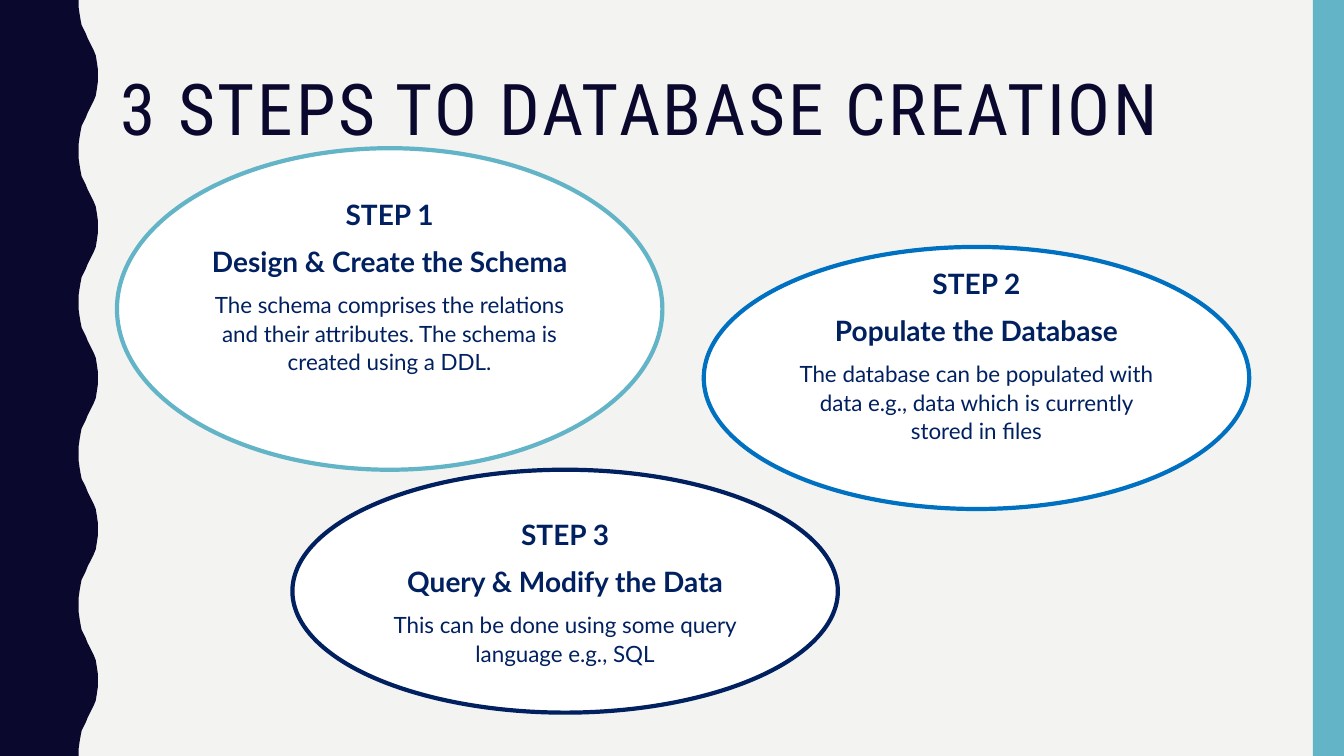
from pptx import Presentation
from pptx.dml.color import RGBColor
from pptx.enum.shapes import MSO_SHAPE
from pptx.enum.text import MSO_ANCHOR, PP_ALIGN
from pptx.util import Inches, Pt

ELLIPSE = MSO_SHAPE.OVAL
RECTANGLE = MSO_SHAPE.RECTANGLE
MIDDLE = MSO_ANCHOR.MIDDLE
CENTER = PP_ALIGN.CENTER
LEFT = PP_ALIGN.LEFT

COLORS = {
    "background": "F3F3F2",
    "ink": "0B082E",
    "teal": "62B4C6",
    "blue": "0070C0",
    "navy": "002060",
    "white": "FFFFFF",
}
SLIDE_WIDTH, SLIDE_HEIGHT = 13.33, 7.5
WAVE_PERIOD = 1.5
WAVE_RISE = [
    (0.78, 0), (0.78, 0.07), (0.79, 0.14), (0.8, 0.2), (0.81, 0.25),
    (0.83, 0.29), (0.85, 0.33), (0.87, 0.38), (0.89, 0.42), (0.91, 0.46),
    (0.93, 0.5), (0.95, 0.55), (0.96, 0.61), (0.97, 0.68),
]
TITLE_FONT = {"name": "Roboto Condensed", "size": Pt(51), "bold": False}
HEADING_FONT = {"name": "Lato", "size": Pt(20), "bold": True}
BODY_FONT = {"name": "Lato", "size": Pt(16), "bold": False}
TITLE_PARAGRAPH = {"alignment": LEFT, "line_spacing": 0.9}
STEP_PARAGRAPH = {"alignment": CENTER, "line_spacing": 1.07, "space_after": Pt(8)}
STEP_WIDTH = 5.41
STEPS = [
    (1.16, 1.47, 3.19, "teal", 0.52, "Design & Create the Schema",
     "The schema comprises the relations and their attributes. "
     "The schema is created using a DDL."),
    (6.98, 2.45, 2.6, "blue", 0.52, "Populate the Database",
     "The database can be populated with data e.g., "
     "data which is currently stored in files"),
    (2.9, 4.66, 2.41, "navy", 0.05, "Query & Modify the Data",
     "This can be done using some query language e.g., SQL"),
]


def color(name):
    return RGBColor.from_string(COLORS[name])


def set_format(target, values):
    for name, value in values.items():
        setattr(target, name, value)


class SlideBuilder:
    def __init__(self, presentation):
        self.slide = presentation.slides.add_slide(presentation.slide_layouts[5])
        self.paint(self.slide.background, "background")

    def paint(self, target, fill):
        target.fill.solid()
        target.fill.fore_color.rgb = color(fill)

    def style(self, shape, fill, line=None):
        shape.shadow.inherit = False
        self.paint(shape, fill)
        if line:
            shape.line.color.rgb = color(line)
            shape.line.width = Pt(3)
        else:
            shape.line.fill.background()

    def add_text(self, paragraph, text, font, layout, ink):
        set_format(paragraph, layout)
        run = paragraph.add_run()
        run.text = text
        set_format(run.font, font)
        run.font.color.rgb = color(ink)
        return run

    def title(self, text, left, top, width, height):
        shape = self.slide.shapes.title
        set_format(shape, {"left": Inches(left), "top": Inches(top),
                           "width": Inches(width), "height": Inches(height)})
        frame = shape.text_frame
        set_format(frame, {"vertical_anchor": MIDDLE, "word_wrap": True})
        run = self.add_text(frame.paragraphs[0], text, TITLE_FONT, TITLE_PARAGRAPH, "ink")
        run._r.get_or_add_rPr().set("spc", "200")

    def shape(self, kind, left, top, width, height, fill, line=None):
        shape = self.slide.shapes.add_shape(
            kind, Inches(left), Inches(top), Inches(width), Inches(height))
        self.style(shape, fill, line)
        return shape

    def wavy_band(self, fill):
        period = WAVE_RISE + [(0.97, WAVE_PERIOD / 2)]
        period += [(x, WAVE_PERIOD - y) for x, y in reversed(WAVE_RISE)]
        count = round(SLIDE_HEIGHT / WAVE_PERIOD)
        edge = [(x, y + WAVE_PERIOD * index)
                for index in range(count) for x, y in period]
        outline = [(Inches(x), Inches(y)) for x, y in edge + [(0, SLIDE_HEIGHT)]]
        builder = self.slide.shapes.build_freeform(0, 0)
        builder.add_line_segments(outline, close=True)
        self.style(builder.convert_to_shape(), fill)

    def step(self, number, left, top, height, line, bottom, heading, body):
        shape = self.shape(ELLIPSE, left, top, STEP_WIDTH, height, "white", line)
        frame = shape.text_frame
        set_format(frame, {"vertical_anchor": MIDDLE, "word_wrap": True,
                           "margin_bottom": Inches(bottom)})
        texts = [(f"STEP {number}", HEADING_FONT), (heading, HEADING_FONT),
                 (body, BODY_FONT)]
        for index, (text, font) in enumerate(texts):
            paragraph = frame.add_paragraph() if index else frame.paragraphs[0]
            self.add_text(paragraph, text, font, STEP_PARAGRAPH, "navy")


presentation = Presentation()
presentation.slide_width = Inches(SLIDE_WIDTH)
presentation.slide_height = Inches(SLIDE_HEIGHT)
builder = SlideBuilder(presentation)
builder.wavy_band("ink")
builder.shape(RECTANGLE, 13.02, 0, 0.31, SLIDE_HEIGHT, "teal")
builder.title("3 STEPS TO DATABASE CREATION", 1.1, 0.62, 11.28, 0.98)
for number, step in enumerate(STEPS, start=1):
    builder.step(number, *step)
presentation.save("out.pptx")
